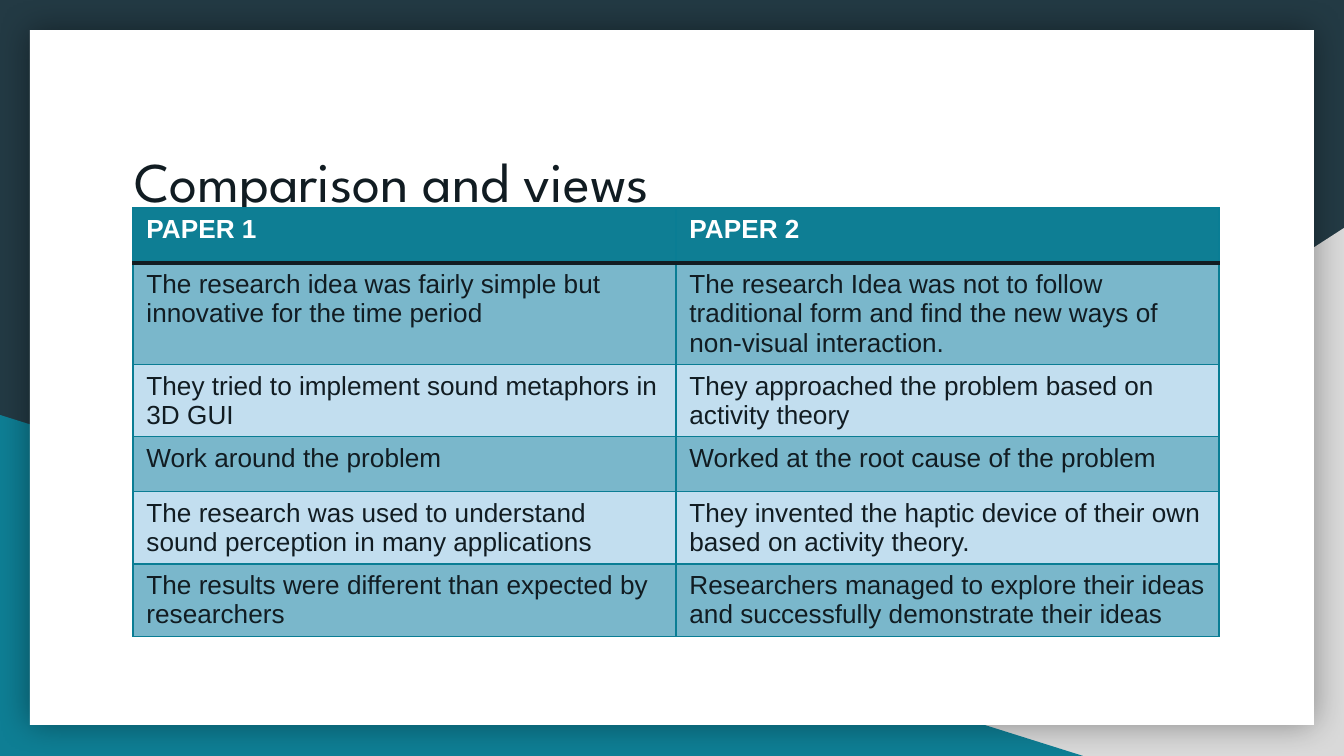
from lxml.etree import SubElement
from pptx import Presentation
from pptx.dml.color import RGBColor
from pptx.enum.shapes import MSO_SHAPE as SHAPE
from pptx.enum.text import MSO_ANCHOR as ANCHOR, PP_ALIGN as ALIGN
from pptx.oxml import parse_xml
from pptx.oxml.ns import nsdecls, qn
from pptx.util import Emu, Pt

PX_PER_INCH = 134.4
COLORS = {
    "background": "233A44",
    "teal": "0E7E94",
    "border": "0A7D94",
    "gray": "D9D9D9",
    "white": "FFFFFF",
    "ink": "111C22",
    "dark_band": "7AB7CB",
    "light_band": "C2DEEF",
}
ROWS = [
    ("PAPER 1", "PAPER 2"),
    ("The research idea was fairly simple but innovative for the time period",
     "The research Idea was not to follow traditional form and find the new "
     "ways of non-visual interaction."),
    ("They tried to implement sound metaphors in 3D GUI",
     "They approached the problem based on activity theory"),
    ("Work around the problem", "Worked at the root cause of the problem"),
    ("The research was used to understand sound perception in many applications",
     "They invented the haptic device of their own based on activity theory."),
    ("The results were different than expected by researchers",
     "Researchers managed to explore their ideas and successfully demonstrate "
     "their ideas"),
]


def px(n):
    return Emu(round(n * 914400 / PX_PER_INCH))


def rgb(name):
    return RGBColor.from_string(COLORS[name])


def paint(fill, color):
    fill.solid()
    fill.fore_color.rgb = rgb(color)


def style_font(font, name, size, color, bold=False):
    font.name = name
    font.size = Pt(size)
    font.bold = bold
    font.color.rgb = rgb(color)


def add_panel(slide, kind, x, y, w, h, color):
    sp = slide.shapes.add_shape(kind, px(x), px(y), px(w), px(h))
    sp.shadow.inherit = False
    paint(sp.fill, color)
    sp.line.fill.background()
    return sp


def add_glow_shadow(sp):
    """Give the shape a soft, centred black shadow."""
    effects = sp._element.spPr.find(qn("a:effectLst"))
    effects.append(parse_xml(
        f'<a:outerShdw {nsdecls("a")} blurRad="{Pt(18)}" dist="0" dir="0" '
        'algn="ctr" rotWithShape="0"><a:srgbClr val="000000">'
        '<a:alpha val="40000"/></a:srgbClr></a:outerShdw>'))


def add_backdrop(slide):
    paint(slide.background.fill, "background")
    corner = add_panel(slide, SHAPE.RIGHT_TRIANGLE, 527, 228, 817, 528, "gray")
    corner._element.spPr.xfrm.set("flipH", "1")
    add_panel(slide, SHAPE.RIGHT_TRIANGLE, 0, 415, 1083, 341, "teal")
    add_glow_shadow(add_panel(slide, SHAPE.RECTANGLE, 30, 30, 1284, 695, "white"))


def set_title(slide, text):
    title = slide.shapes.title
    slide.shapes._spTree.append(title._element)  # in front of the backdrop
    title.left, title.top, title.width, title.height = map(px, (121, 124, 945, 103))
    tf = title.text_frame
    tf.text = text
    tf.word_wrap = True
    tf.vertical_anchor = ANCHOR.BOTTOM
    tf.margin_left = tf.margin_right = tf.margin_top = tf.margin_bottom = px(13)
    p = tf.paragraphs[0]
    p.alignment = ALIGN.LEFT
    style_font(p.runs[0].font, "League Spartan", 30, "ink")


def set_border(cell, side, color, width):
    line = SubElement(cell._tc.get_or_add_tcPr(), qn(f"a:{side}"), w=str(Pt(width)))
    fill = SubElement(line, qn("a:solidFill"))
    SubElement(fill, qn("a:srgbClr"), val=COLORS[color])


def fill_cell(cell, text, row):
    header = row == 0
    cell.text = text
    style_font(cell.text_frame.paragraphs[0].runs[0].font, "Arial", 14,
               "white" if header else "ink", header)
    for side in ("lnL", "lnR", "lnT", "lnB"):
        if (row, side) in ((0, "lnB"), (1, "lnT")):
            set_border(cell, side, "ink", 2)
        else:
            set_border(cell, side, "border", 0.75)
    band = "dark_band" if row % 2 else "light_band"
    paint(cell.fill, "teal" if header else band)


def add_comparison_table(slide, x, y, col_width, row_height):
    n_rows, n_cols = len(ROWS), len(ROWS[0])
    table = slide.shapes.add_table(n_rows, n_cols, px(x), px(y), px(col_width * n_cols),
                                   px(row_height * n_rows)).table
    for i, texts in enumerate(ROWS):
        for j, text in enumerate(texts):
            fill_cell(table.cell(i, j), text, i)


def main():
    prs = Presentation()
    prs.slide_width, prs.slide_height = px(1344), px(756)
    slide = prs.slides.add_slide(prs.slide_layouts[5])
    add_backdrop(slide)
    set_title(slide, "Comparison and views")
    add_comparison_table(slide, 133, 208, 543, 55)
    prs.save("out.pptx")


if __name__ == "__main__":
    main()
